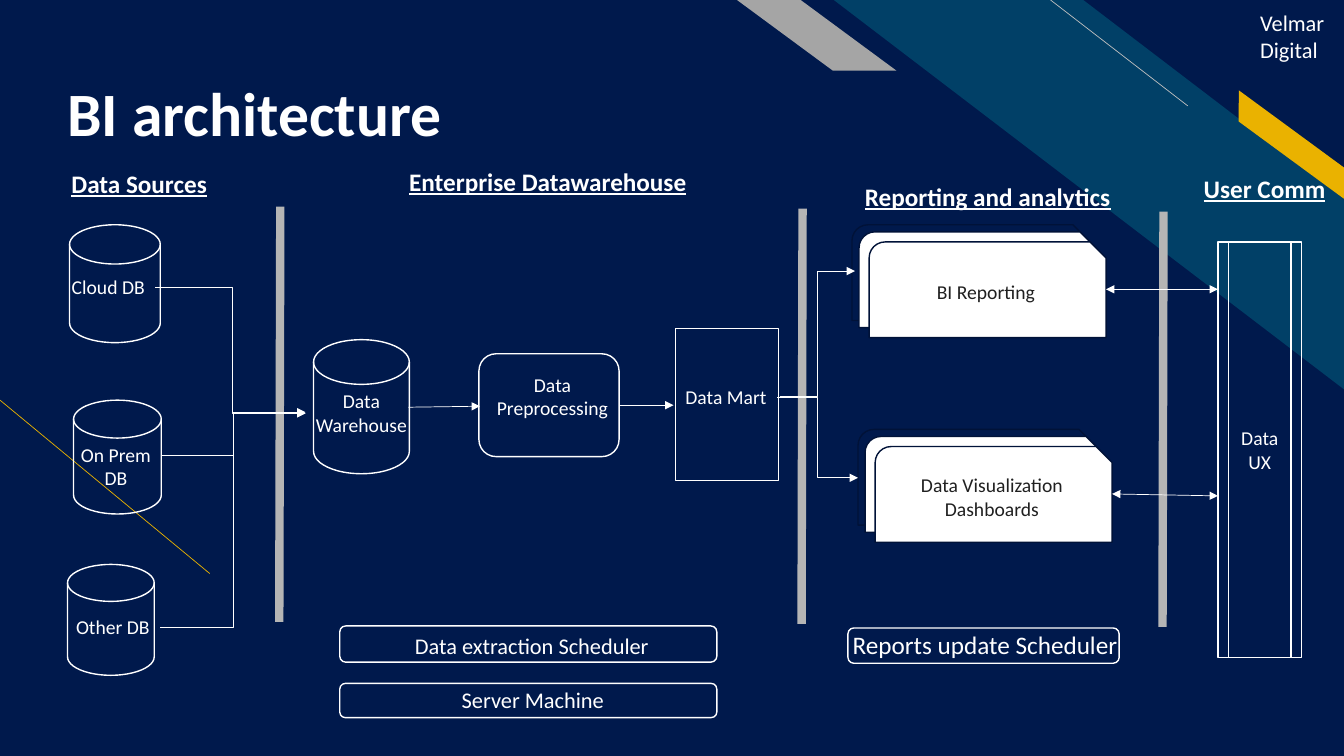
"""Build the BI architecture slide."""
from dataclasses import dataclass

from lxml import etree
from pptx import Presentation, util as u
from pptx.dml.color import RGBColor
from pptx.enum import shapes, text
from pptx.oxml.ns import qn

NAVY, WHITE, TEAL, GOLD = "00194C", "FFFFFF", "014067", "EAB200"
GREY, DIVIDER, CARD_LINE, INK = "A5A5A5", "B5B5B5", "001238", "202020"
SHAPE = shapes.MSO_SHAPE
DISK, ROUND = SHAPE.FLOWCHART_MAGNETIC_DISK, SHAPE.ROUNDED_RECTANGLE
LEFT, CENTER = text.PP_ALIGN.LEFT, text.PP_ALIGN.CENTER


@dataclass
class Box:
    kind: int
    x: float
    y: float
    w: float
    h: float
    fill: str | None = None
    line: str | None = WHITE
    label: str = ""
    ink: str = WHITE
    adj: float | None = None
    flip: bool = False
    turn: float = 0


@dataclass
class Label:
    words: str
    x: float
    y: float
    w: float
    h: float
    size: int = 14
    align: int = CENTER
    heading: bool = False
    wrap: bool = False


@dataclass
class Link:
    x1: float
    y1: float
    x2: float
    y2: float
    color: str = WHITE
    width: float = 0.5
    elbow: bool = False
    ends: tuple[str, ...] = ()
    bend: int | None = None


def rgb(value: str) -> RGBColor:
    return RGBColor.from_string(value)


def write(tf, words: str, size: int, color: str, align: int) -> None:
    for i, line in enumerate(words.split("\n")):
        p = tf.paragraphs[0] if i == 0 else tf.add_paragraph()
        p.text, p.alignment = line, align
        p.font.name, p.font.size = "Calibri", u.Pt(size)
        p.font.color.rgb = rgb(color)


def draw_box(sp, b: Box) -> None:
    s = sp.add_shape(b.kind, *map(u.Inches, (b.x, b.y, b.w, b.h)))
    s.shadow.inherit = False
    s.rotation = b.turn
    if b.adj is not None:
        s.adjustments[0] = b.adj
    if b.flip:
        s.element.spPr.find(qn("a:xfrm")).set("flipH", "1")
    if b.fill:
        s.fill.solid()
        s.fill.fore_color.rgb = rgb(b.fill)
    else:
        s.fill.background()
    if b.line:
        s.line.color.rgb = rgb(b.line)
        s.line.width = u.Pt(1)
    else:
        s.line.fill.background()
    if b.label:
        s.text_frame.vertical_anchor = text.MSO_ANCHOR.MIDDLE
        write(s.text_frame, b.label, 14, b.ink, CENTER)


def draw_label(sp, t: Label) -> None:
    tf = sp.add_textbox(*map(u.Inches, (t.x, t.y, t.w, t.h))).text_frame
    tf.word_wrap = t.wrap
    tf.auto_size = text.MSO_AUTO_SIZE.SHAPE_TO_FIT_TEXT
    write(tf, t.words, t.size, WHITE, t.align)
    if t.heading:
        tf.paragraphs[0].font.bold = tf.paragraphs[0].font.underline = True


def draw_link(sp, k: Link) -> None:
    kind = shapes.MSO_CONNECTOR.ELBOW if k.elbow else shapes.MSO_CONNECTOR.STRAIGHT
    s = sp.add_connector(kind, *map(u.Inches, (k.x1, k.y1, k.x2, k.y2)))
    s.line.color.rgb = rgb(k.color)
    s.line.width = u.Pt(k.width)
    for end in k.ends:
        etree.SubElement(s.line._get_or_add_ln(), qn(f"a:{end}")).set("type", "triangle")
    etree.SubElement(s.element.spPr, qn("a:effectLst"))
    if k.bend is not None:
        av = s.element.spPr.find(qn("a:prstGeom")).find(qn("a:avLst"))
        etree.SubElement(av, qn("a:gd"), name="adj1", fmla=f"val {k.bend}")


def draw_title(sp) -> None:
    tf = sp.add_textbox(*map(u.Inches, (0.57, 0.23, 9.11, 1.26))).text_frame
    tf.word_wrap = True
    tf.vertical_anchor = text.MSO_ANCHOR.BOTTOM
    tf.margin_bottom = 0
    write(tf, "BI architecture", 44, WHITE, LEFT)
    tf.paragraphs[0].font.bold = True
    tf.paragraphs[0].line_spacing = 0.9


def card_stack(x: float, y: float, label: str) -> list[Box]:
    layers = ((0, None, ""), (0.07, WHITE, ""), (0.17, WHITE, label))
    return [Box(SHAPE.SNIP_ROUND_RECTANGLE, x + d, y + d, 2.35, 0.95, fill, CARD_LINE, words, INK)
            for d, fill, words in layers]


ONE_WAY, BOTH_WAYS = ("tailEnd",), ("headEnd", "tailEnd")

DECOR = [
    Link(2.08, 5.69, 0, 3.97, GOLD),
    Box(SHAPE.DIAGONAL_STRIPE, 8.27, 0, 5.07, 3.87, TEAL, None, adj=0.512, flip=True),
    Link(11.78, 1.05, 10.42, 0, "BFBFBF"),
    Box(SHAPE.PARALLELOGRAM, 12.07, 1.31, 1.48, 0.25, GOLD, None, adj=0.72, flip=True, turn=36.3),
    Label("Velmar\nDigital", 12.4, 0.04, 0.9, 0.64, 16, LEFT),
    Box(SHAPE.PARALLELOGRAM, 7.31, 0, 1.58, 0.7, GREY, None, adj=1.356, flip=True),
]
DIVIDERS = [Link(x, y, x - 0.01, y + 4.12, DIVIDER, 6)
            for x, y in ((2.78, 2.05), (7.96, 2.07), (11.54, 2.1))]
BOXES = [
    Box(DISK, 0.69, 2.23, 0.9, 1.17),
    Box(DISK, 0.73, 3.97, 0.87, 1.13),
    Box(DISK, 0.67, 5.6, 0.86, 1.1),
    Box(DISK, 3.11, 3.37, 0.95, 1.33),
    Box(ROUND, 4.75, 3.51, 1.39, 1.02),
    Box(SHAPE.RECTANGLE, 6.7, 3.26, 1.02, 1.51),
    Box(ROUND, 3.37, 6.21, 3.74, 0.36),
    Box(ROUND, 3.37, 6.78, 3.74, 0.34),
    Box(ROUND, 8.41, 6.23, 2.69, 0.35),
    *card_stack(8.45, 2.23, "BI Reporting"),
    *card_stack(8.51, 4.26, "Data Visualization Dashboards"),
    Box(SHAPE.FLOWCHART_PREDEFINED_PROCESS, 12.08, 2.4, 0.83, 4.12, label="Data UX"),
]
LINKS = [
    Link(4.05, 4.04, 4.76, 4.03, ends=ONE_WAY),
    Link(6.15, 4.02, 6.68, 4.02, ends=ONE_WAY),
    Link(7.71, 3.94, 8.51, 4.74, elbow=True, ends=ONE_WAY),
    Link(7.74, 3.93, 8.48, 2.69, elbow=True, ends=ONE_WAY),
    Link(1.54, 2.85, 3.03, 4.1, elbow=True, ends=ONE_WAY, bend=51400),
    Link(1.59, 6.22, 3.03, 4.1, elbow=True, ends=ONE_WAY),
    Link(1.6, 4.52, 3.03, 4.09, elbow=True, ends=ONE_WAY),
    Link(10.97, 2.87, 12.08, 2.87, ends=BOTH_WAYS),
    Link(11.03, 4.9, 12.08, 4.92, ends=BOTH_WAYS),
]
LABELS = [
    Label("Cloud DB", 0.61, 2.68, 0.93, 0.34),
    Label("On Prem\nDB", 0.7, 4.34, 0.9, 0.57),
    Label("Other DB", 0.65, 6.05, 0.94, 0.34),
    Label("Data\nWarehouse", 3.03, 3.81, 1.11, 0.57),
    Label("Data\nPreprocessing", 4.8, 3.65, 1.36, 0.57),
    Label("Data Mart", 6.69, 3.77, 1.02, 0.34),
    Label("Data extraction Scheduler", 4, 6.22, 2.55, 0.37, 16),
    Label("Server Machine", 4.47, 6.76, 1.63, 0.37, 16),
    Label("Reports update Scheduler", 8.34, 6.19, 2.86, 0.4, 18),
    Label("Data Sources", 0.61, 1.62, 1.56, 0.4, 18, LEFT, True),
    Label("Enterprise Datawarehouse", 3.96, 1.6, 2.97, 0.4, 18, LEFT, True),
    Label("Reporting and analytics", 8.48, 1.75, 2.66, 0.4, 18, LEFT, True),
    Label("User Comm", 11.84, 1.67, 1.41, 0.4, 18, LEFT, True, True),
]


def main() -> None:
    prs = Presentation()
    prs.slide_width, prs.slide_height = u.Inches(13.33), u.Inches(7.5)
    slide = prs.slides.add_slide(prs.slide_layouts[6])
    slide.background.fill.solid()
    slide.background.fill.fore_color.rgb = rgb(NAVY)
    sp = slide.shapes
    draw = {Box: draw_box, Label: draw_label, Link: draw_link}
    for item in DECOR:
        draw[type(item)](sp, item)
    draw_title(sp)
    for item in DIVIDERS + BOXES + LINKS + LABELS:
        draw[type(item)](sp, item)
    prs.save("out.pptx")


if __name__ == "__main__":
    main()
